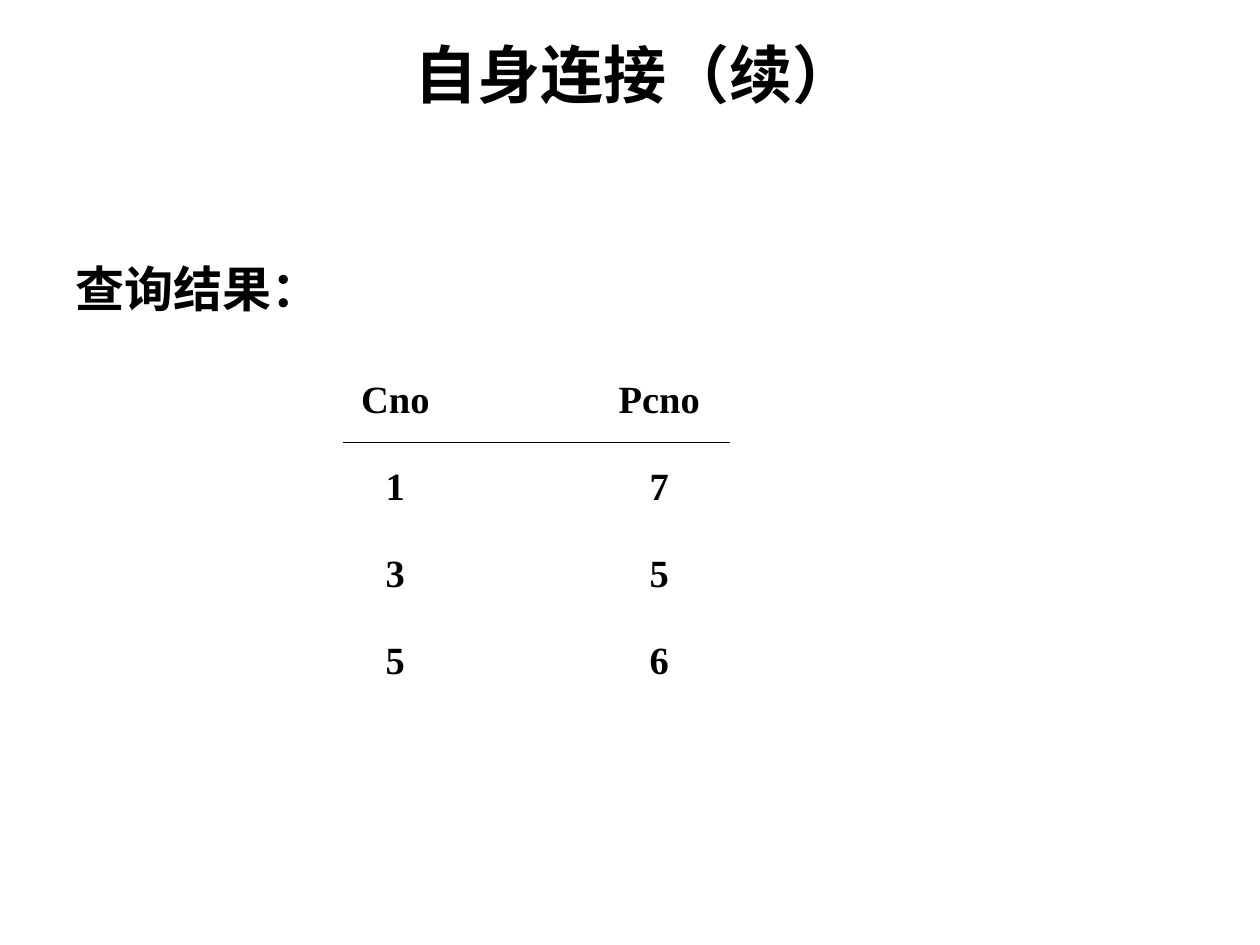
"""Build the slide showing the result of a self-join query."""
from dataclasses import dataclass

from lxml.etree import SubElement
from pptx import Presentation
from pptx.dml.color import RGBColor
from pptx.enum.shapes import MSO_CONNECTOR
from pptx.enum.text import MSO_ANCHOR, PP_ALIGN
from pptx.oxml.ns import qn
from pptx.slide import Slide
from pptx.text.text import TextFrame
from pptx.util import Pt


@dataclass(frozen=True)
class Theme:
    ink: RGBColor = RGBColor(0, 0, 0)
    heading_font: str = "Arial"
    table_font: str = "Times New Roman"
    title_size: float = 36
    label_size: float = 28
    table_size: float = 22
    rule_width: float = 0.75


@dataclass(frozen=True)
class Heading:
    text: str
    left: float
    top: float
    width: float
    height: float
    size: float
    align: PP_ALIGN
    anchor: MSO_ANCHOR


@dataclass(frozen=True)
class ResultTable:
    rows: tuple[tuple[str, ...], ...]
    left: float
    top: float
    column_width: float
    row_height: float


THEME = Theme()
HEADINGS = (
    Heading("自身连接（续）", 72, 20.16, 581.76, 43.92, THEME.title_size,
            PP_ALIGN.CENTER, MSO_ANCHOR.MIDDLE),
    Heading("查询结果：", 36, 144, 318.24, 46.8, THEME.label_size,
            PP_ALIGN.LEFT, MSO_ANCHOR.TOP),
)
RESULT = ResultTable(
    (("Cno", "Pcno"), ("1", "7"), ("3", "5"), ("5", "6")),
    150.48, 213.12, 150.84, 49.68,
)


def write(frame: TextFrame, text: str, font: str, size: float, align: PP_ALIGN) -> None:
    frame.text = text
    paragraph = frame.paragraphs[0]
    paragraph.alignment = align
    for span in paragraph.runs:
        span.font.name = font
        span.font.size = Pt(size)
        span.font.bold = True
        span.font.color.rgb = THEME.ink


def draw_heading(page: Slide, heading: Heading) -> None:
    box = page.shapes.add_textbox(
        Pt(heading.left), Pt(heading.top), Pt(heading.width), Pt(heading.height)
    )
    box.text_frame.word_wrap = True
    box.text_frame.vertical_anchor = heading.anchor
    write(box.text_frame, heading.text, THEME.heading_font, heading.size, heading.align)


def draw_table(page: Slide, result: ResultTable) -> None:
    row_count, column_count = len(result.rows), len(result.rows[0])
    table = page.shapes.add_table(
        row_count, column_count, Pt(result.left), Pt(result.top),
        Pt(result.column_width * column_count), Pt(result.row_height * row_count),
    ).table
    table.first_row = False
    table.horz_banding = False
    for column in table.columns:
        column.width = Pt(result.column_width)
    for row, values in zip(table.rows, result.rows):
        row.height = Pt(result.row_height)
        for cell, value in zip(row.cells, values):
            cell.fill.background()
            write(cell.text_frame, value, THEME.table_font, THEME.table_size,
                  PP_ALIGN.CENTER)


def draw_rule(page: Slide, left: float, right: float, height: float) -> None:
    rule = page.shapes.add_connector(
        MSO_CONNECTOR.STRAIGHT, Pt(left), Pt(height), Pt(right), Pt(height)
    )
    rule.line.color.rgb = THEME.ink
    rule.line.width = Pt(THEME.rule_width)
    SubElement(rule._element.spPr, qn("a:effectLst"))


def main() -> None:
    deck = Presentation()
    deck.slide_width, deck.slide_height = Pt(720), Pt(540)
    page = deck.slides.add_slide(deck.slide_layouts[6])
    for heading in HEADINGS:
        draw_heading(page, heading)
    draw_table(page, RESULT)
    draw_rule(page, 195.84, 416.88, 252.72)
    deck.save("out.pptx")


if __name__ == "__main__":
    main()
